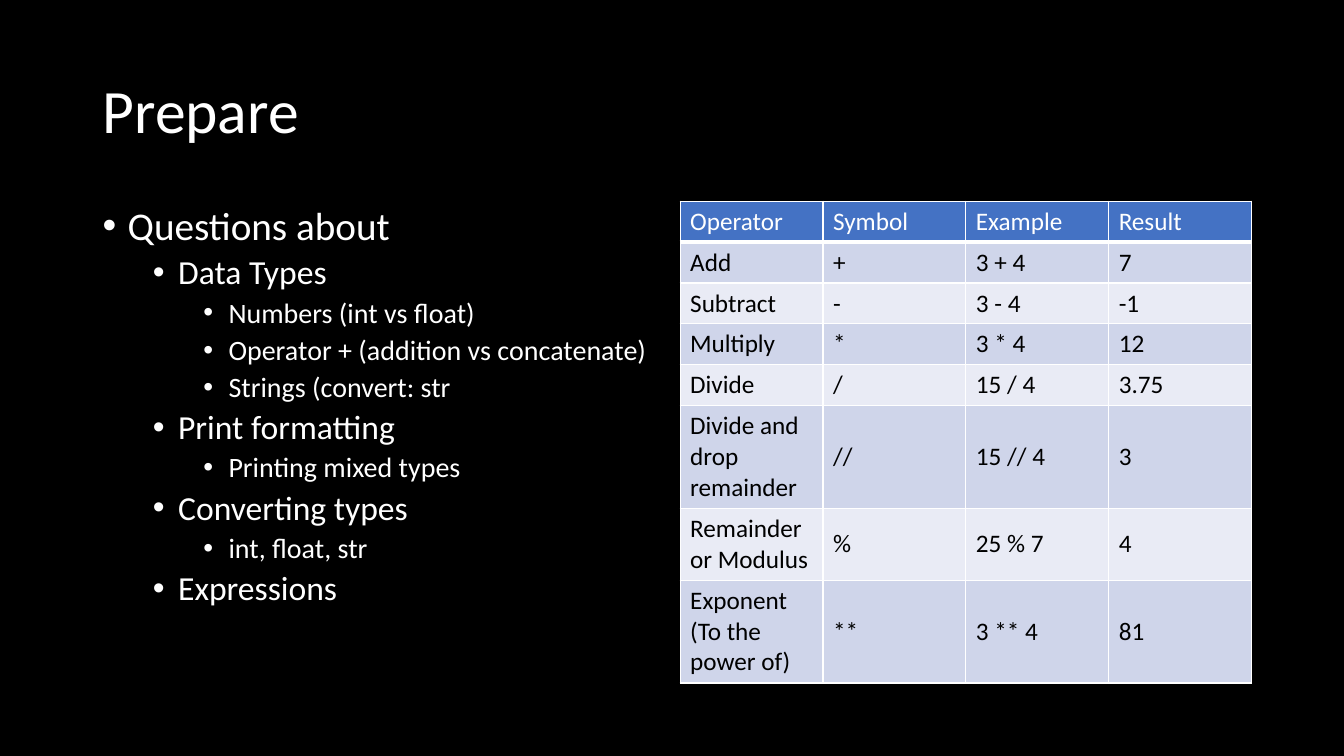
from lxml import etree
from pptx import Presentation
from pptx.dml.color import RGBColor
from pptx.enum.text import MSO_ANCHOR, MSO_AUTO_SIZE, PP_ALIGN
from pptx.oxml.ns import qn
from pptx.util import Cm, Pt

MIDDLE, TOP = MSO_ANCHOR.MIDDLE, MSO_ANCHOR.TOP
NO_FIT, LEFT = MSO_AUTO_SIZE.NONE, PP_ALIGN.LEFT
WHITE, BLACK = "FFFFFF", "000000"
HEADER, BANDS = "4472C4", ("E9EBF5", "CFD5EA")

TOPICS = [
    (0, "Questions about "),
    (1, "Data Types"),
    (2, "Numbers (int vs float)"),
    (2, "Operator + (addition vs concatenate)"),
    (2, "Strings (convert: str"),
    (1, "Print formatting"),
    (2, "Printing mixed types"),
    (1, "Converting types"),
    (2, "int, float, str"),
    (1, "Expressions"),
]
# Lines of text in the row, then its cells; \v is a line break
OPERATORS = [
    (1, "Operator", "Symbol", "Example", "Result"),
    (1, "Add", "+", "3 + 4", "7"),
    (1, "Subtract", "-", "3 - 4", "-1"),
    (1, "Multiply", "*", "3 * 4", "12"),
    (1, "Divide", "/", "15 / 4", "3.75"),
    (3, "Divide and drop remainder", "//", "15 // 4", "3"),
    (2, "Remainder or Modulus", "%", "25 % 7", "4"),
    (3, "Exponent\v(To the power of)", "**", "3 ** 4", "81"),
]


def rgb(color):
    """Turn a hex string into a colour."""
    return RGBColor.from_string(color)


def apply(obj, **values):
    """Set each named attribute of an object."""
    for name, value in values.items():
        setattr(obj, name, value)


def paint(obj, color):
    """Give a solid fill to a cell or background."""
    obj.fill.solid()
    obj.fill.fore_color.rgb = rgb(color)


def write(p, text, size, color):
    """Put formatted text in a paragraph."""
    p.text = text
    for r in p.runs:
        apply(r.font, name="Calibri", size=Pt(size), bold=False)
        r.font.color.rgb = rgb(color)


def place(sp, box, anchor):
    """Move a placeholder to a box in centimetres and return its text frame."""
    apply(sp, **dict(zip(("left", "top", "width", "height"), map(Cm, box))))
    tf = sp.text_frame
    apply(tf, word_wrap=True, auto_size=NO_FIT, vertical_anchor=anchor)
    return tf


def add_title(s, box, text):
    """Fill the title placeholder."""
    p = place(s.shapes.title, box, MIDDLE).paragraphs[0]
    apply(p, alignment=LEFT, line_spacing=0.9)
    write(p, text, 44, WHITE)


def add_bullet(p, level):
    """Indent a paragraph by its level and give it a round bullet."""
    pPr = p._p.get_or_add_pPr()
    pPr.set("marL", str(Cm(0.635 + 1.27 * level)))
    pPr.set("indent", str(-Cm(0.635)))
    etree.SubElement(pPr, qn("a:buFont")).set("typeface", "Arial")
    etree.SubElement(pPr, qn("a:buChar")).set("char", "•")


def add_topics(s, box, topics):
    """Fill the body placeholder with a bulleted outline."""
    tf = place(s.placeholders[1], box, TOP)
    for i, (level, text) in enumerate(topics):
        p = tf.add_paragraph() if i else tf.paragraphs[0]
        apply(p, level=level, alignment=LEFT, line_spacing=0.9,
              space_before=Pt(5 if level else 10))
        add_bullet(p, level)
        write(p, text, 28 - 4 * level, WHITE)


def add_borders(cell, bottom):
    """Draw white borders round a cell, with the given bottom width."""
    tcPr = cell._tc.get_or_add_tcPr()
    for i, (side, width) in enumerate(zip("LRTB", (1, 1, 1, bottom))):
        ln = etree.Element(qn("a:ln" + side), w=str(Pt(width)))
        fill = etree.SubElement(ln, qn("a:solidFill"))
        etree.SubElement(fill, qn("a:srgbClr")).set("val", WHITE)
        tcPr.insert(i, ln)


def add_operators(s, box, rows):
    """Add the banded table of operators, with equal columns."""
    left, top, width = box
    heights = [Cm(0.25 + 0.78 * lines) for lines, *_ in rows]
    columns = len(rows[0]) - 1
    table = s.shapes.add_table(len(rows), columns, Cm(left), Cm(top),
                               Cm(width), sum(heights)).table
    for col in table.columns:
        col.width = Cm(width / columns)
    for i, (_, *texts) in enumerate(rows):
        table.rows[i].height = heights[i]
        for cell, text in zip(table.rows[i].cells, texts):
            cell.vertical_anchor = MIDDLE
            paint(cell, BANDS[i % 2] if i else HEADER)
            add_borders(cell, 1 if i else 3)
            write(cell.text_frame.paragraphs[0], text, 18,
                  BLACK if i else WHITE)


def build_slide(prs):
    """Build the slide with an outline on the left and a table on the right."""
    s = prs.slides.add_slide(prs.slide_layouts[1])
    paint(s.background, BLACK)
    add_title(s, (2.33, 1.01, 29.21, 3.68), "Prepare")
    add_topics(s, (2.33, 5.07, 14.4, 12.09), TOPICS)
    add_operators(s, (17.14, 5.07, 14.4), OPERATORS)


prs = Presentation()
apply(prs, slide_width=Cm(33.87), slide_height=Cm(19.05))
build_slide(prs)
prs.save("out.pptx")
